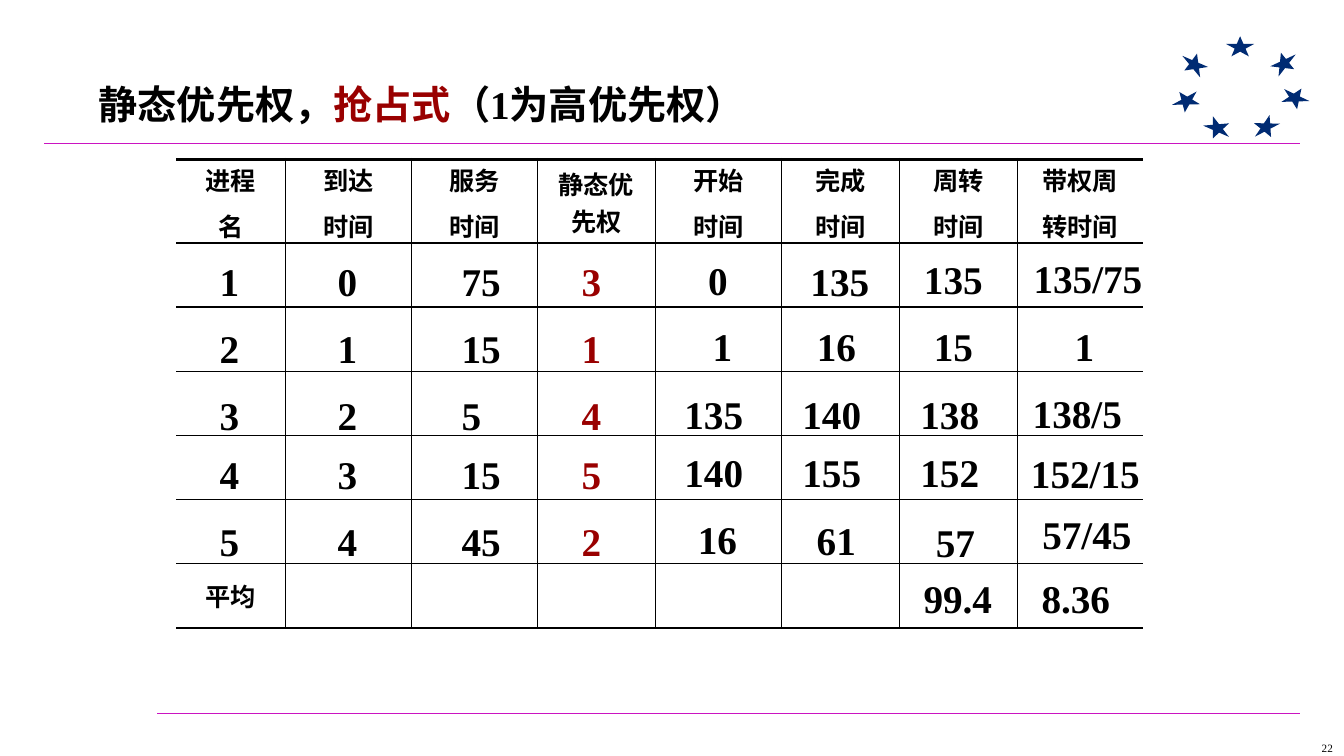
from lxml import etree
from pptx import Presentation
from pptx.dml.color import RGBColor
from pptx.enum.shapes import MSO_CONNECTOR, MSO_SHAPE
from pptx.enum.text import MSO_ANCHOR, MSO_AUTO_SIZE, PP_ALIGN
from pptx.oxml.ns import qn
from pptx.util import Inches, Pt

LEFT, CENTER = PP_ALIGN.LEFT, PP_ALIGN.CENTER
MIDDLE = MSO_ANCHOR.MIDDLE
GROW = MSO_AUTO_SIZE.SHAPE_TO_FIT_TEXT
STAR, STRAIGHT = MSO_SHAPE.STAR_5_POINT, MSO_CONNECTOR.STRAIGHT
FONT = "Times New Roman"
COLORS = {"black": "000000", "red": "990000", "navy": "002B73", "magenta": "CA14C1"}

prs = Presentation()
prs.slide_width, prs.slide_height = Inches(13.33), Inches(7.5)
slide = prs.slides.add_slide(prs.slide_layouts[6])


def add_run(paragraph, text, size, color="black", bold=True):
    run = paragraph.add_run()
    run.text = text
    run.font.name, run.font.size, run.font.bold = FONT, Pt(size), bold
    run.font.color.rgb = RGBColor.from_string(COLORS[color])


def add_text(left, top, width, runs, align=LEFT, size=28, height=0.57, inset=None, bold=True):
    box = slide.shapes.add_textbox(Inches(left), Inches(top), Inches(width), Inches(height))
    frame = box.text_frame
    frame.word_wrap, frame.auto_size = True, GROW
    if inset is not None:
        frame.margin_left = frame.margin_right = Inches(inset)
        frame.margin_top = frame.margin_bottom = Inches(inset)
    frame.paragraphs[0].alignment = align
    for text, color in runs:
        add_run(frame.paragraphs[0], text, size, color, bold)


# Page number
add_text(13, 7.35, 0.33, [("22", "black")], CENTER, 8, 0.13, 0, False)

# Ring of stars: left, top, width, height, rotation
stars = [
    (12.16, 0.36, 0.28, 0.2, 0), (12.64, 0.49, 0.21, 0.27, 51.4),
    (12.42, 1.17, 0.28, 0.2, 152.6), (11.73, 0.5, 0.21, 0.27, 307),
    (11.65, 0.87, 0.21, 0.27, 255.1), (11.93, 1.18, 0.28, 0.2, 203.5),
    (12.75, 0.84, 0.21, 0.27, 101.9),
]
for *frame, rotation in stars:
    star = slide.shapes.add_shape(STAR, *map(Inches, frame))
    star.rotation = rotation
    star.shadow.inherit = False
    star.fill.solid()
    star.fill.fore_color.rgb = RGBColor.from_string(COLORS["navy"])
    star.line.fill.background()

# Rules under the title and above the footer
for start, y in [(0.44, 1.42), (1.56, 7.08)]:
    rule = slide.shapes.add_connector(STRAIGHT, Inches(start), Inches(y), Inches(12.89), Inches(y))
    rule.line.color.rgb = RGBColor.from_string(COLORS["magenta"])
    rule.line.width = Pt(0.75)
    etree.SubElement(rule._element.spPr, qn("a:effectLst"))

# Title
add_text(0.88, 0.75, 7.08, [("静态优先权，", "black"), ("抢占式", "red"), ("（1为高优先权）", "black")])

# Table grid with its headings
headings = [
    ["进程", "名"], ["到达", "时间"], ["服务", "时间"], ["静态优先权"],
    ["开始", "时间"], ["完成", "时间"], ["周转", "时间"], ["带权周", "转时间"],
]
col_widths = [1.08, 1.25, 1.25, 1.17, 1.25, 1.17, 1.17, 1.25]
row_heights = [0.83] + [0.637] * 6
last_row, last_col = len(row_heights) - 1, len(col_widths) - 1
schedule = slide.shapes.add_table(
    last_row + 1, last_col + 1, Inches(1.75), Inches(1.58), Inches(9.58), Inches(4.65)
).table
schedule.first_row = schedule.horz_banding = False
for column, width in zip(schedule.columns, col_widths):
    column.width = Inches(width)
for row, height in zip(schedule.rows, row_heights):
    row.height = Inches(height)

cell_lines = {(0, c): lines for c, lines in enumerate(headings)}
cell_lines[last_row, 0] = ["平均"]
for r in range(last_row + 1):
    for c in range(last_col + 1):
        cell = schedule.cell(r, c)
        cell.fill.background()
        cell.vertical_anchor = MIDDLE
        if r == 0:
            cell.margin_top, cell.margin_bottom = Inches(0.02), Inches(0)
        for i, line in enumerate(cell_lines.get((r, c), [])):
            frame = cell.text_frame
            paragraph = frame.add_paragraph() if i else frame.paragraphs[0]
            paragraph.alignment = CENTER
            if i:
                paragraph.space_before = Pt(6.5)
            add_run(paragraph, line, 18)
        # Heavy top and bottom edges, open sides
        borders = {
            "L": 1 if c else 0,
            "R": 1 if c < last_col else 0,
            "T": 1 if r else 2.25,
            "B": 1 if r < last_row else 2.25,
        }
        props = cell._tc.get_or_add_tcPr()
        for i, (side, points) in enumerate(borders.items()):
            edge = etree.Element(qn(f"a:ln{side}"), w=str(Pt(points)))
            if points:
                fill = etree.SubElement(edge, qn("a:solidFill"))
                etree.SubElement(fill, qn("a:srgbClr"), val=COLORS["black"])
            else:
                etree.SubElement(edge, qn("a:noFill"))
            props.insert(i, edge)

# Given values: process, arrival, service, priority
given = [
    (2.5, ["1", "0", "75", "3"]),
    (3.17, ["2", "1", "15", "1"]),
    (3.83, ["3", "2", "5", "4"]),
    (4.42, ["4", "3", "15", "5"]),
    (5.08, ["5", "4", "45", "2"]),
]
given_lefts = [2.08, 3.25, 4.48, 5.67]
for top, values in given:
    for left, value in zip(given_lefts, values):
        color = "red" if left == given_lefts[-1] else "black"
        add_text(left, top, 0.42 if len(value) == 1 else 0.67, [(value, color)])

# Worked-out values: start, finish, turnaround, weighted turnaround
results = [
    ("0", 6.83, 2.49, 0.58), ("135", 7.88, 2.5, 0.9),
    ("135", 9.03, 2.48, 0.85), ("135/75", 10.08, 2.47, 1.42),
    ("1", 6.83, 3.15, 0.67), ("16", 7.92, 3.15, 0.75),
    ("15", 9.08, 3.15, 0.75), ("1", 10.17, 3.15, 1.17),
    ("135", 6.58, 3.82, 1), ("140", 7.75, 3.82, 1),
    ("138", 8.92, 3.82, 1), ("138/5", 10.1, 3.81, 1.17),
    ("140", 6.58, 4.4, 1), ("155", 7.75, 4.4, 1),
    ("152", 8.92, 4.4, 1), ("152/15", 10.1, 4.41, 1.33),
    ("16", 6.78, 5.06, 0.67), ("61", 7.88, 5.07, 0.83),
    ("57", 9.08, 5.09, 0.79), ("57/45", 10.14, 5.01, 1.28),
    ("99.4", 9, 5.65, 1), ("8.36", 10.17, 5.65, 1),
]
for value, left, top, width in results:
    add_text(left, top, width, [(value, "black")], CENTER)

prs.save("out.pptx")
